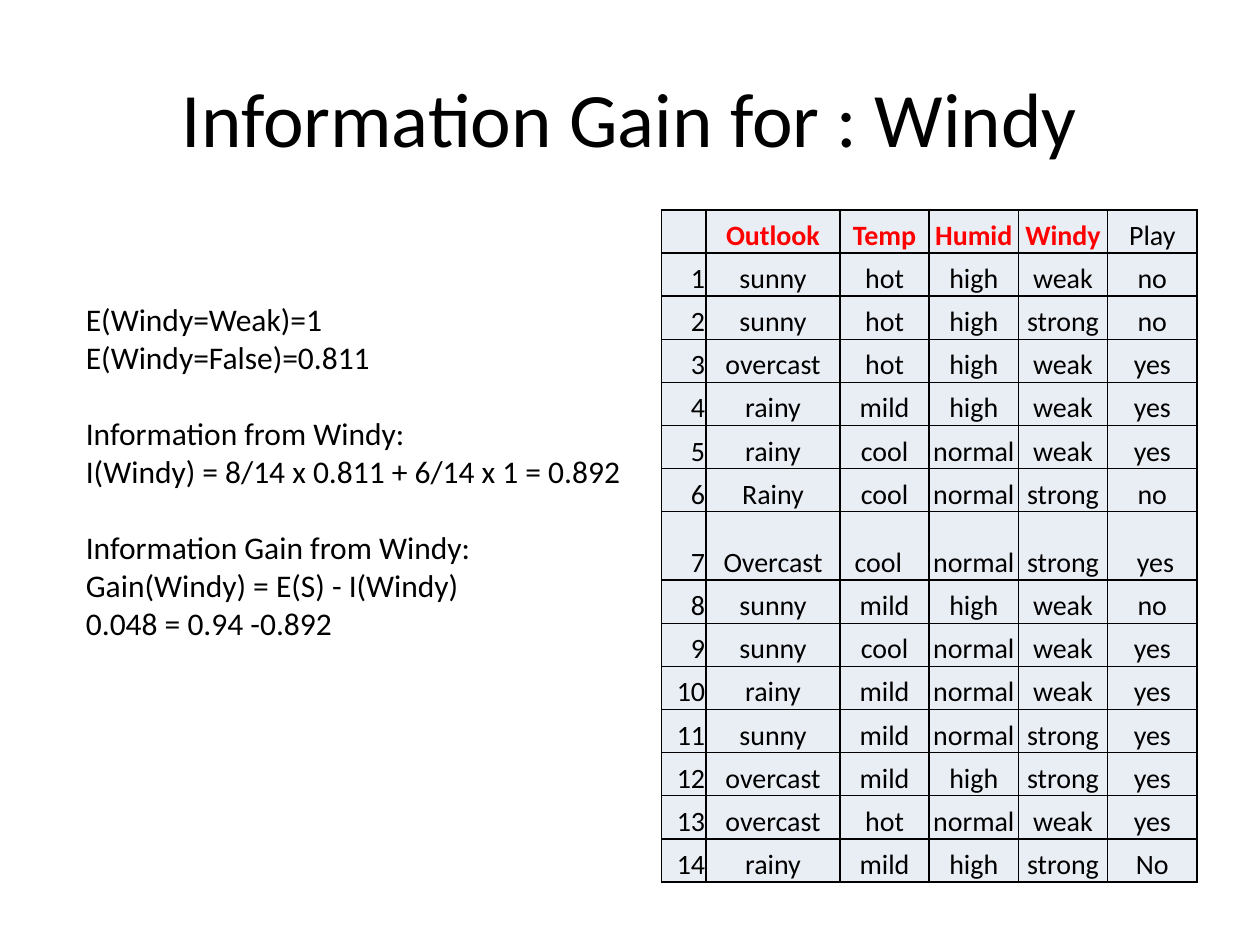
from typing import NamedTuple

from lxml.etree import SubElement
from pptx import Presentation
from pptx.dml.color import RGBColor
from pptx.enum.text import MSO_ANCHOR as Anchor, PP_ALIGN as Align
from pptx.oxml.ns import qn
from pptx.util import Pt

BLACK, RED, PALE = "000000", "FF0000", "E9EDF4"


class Box(NamedTuple):
    left: float
    top: float
    width: float
    height: float


class Line(NamedTuple):
    text: str
    before: float = 0


class Nudge(NamedTuple):
    left: float = 0
    right: float = 0


TITLE = [Line("Information Gain for : Windy")]
GAP = 22
STEPS = [
    Line("E(Windy=Weak)=1"),
    Line("E(Windy=False)=0.811"),
    Line("Information from Windy:", GAP),
    Line("I(Windy) = 8/14 x 0.811 + 6/14 x 1 = 0.892"),
    Line("Information Gain from Windy:", GAP),
    Line("Gain(Windy) = E(S) - I(Windy)"),
    Line("0.048 = 0.94 -0.892"),
]
HEAD = ["", "Outlook", "Temp", "Humid", "Windy", "Play"]
DAYS = """\
sunny hot high weak no
sunny hot high strong no
overcast hot high weak yes
rainy mild high weak yes
rainy cool normal weak yes
Rainy cool normal strong no
Overcast cool normal strong yes
sunny mild high weak no
sunny cool normal weak yes
rainy mild normal weak yes
sunny mild normal strong yes
overcast mild high strong yes
overcast hot normal weak yes
rainy mild high strong No"""
WIDTHS = [25.5, 76.5] + [51] * 4
ROW, TALL, TALL_DAY = 24.64, 39.1, 7
INSET = 0.6
NUDGES = {(TALL_DAY, 2): Nudge(right=7.2), (TALL_DAY, 5): Nudge(left=3.6)}


def color(code: str) -> RGBColor:
    return RGBColor.from_string(code)


def style(para, size: float, align, code: str = BLACK, bold: bool = False) -> None:
    para.alignment = align
    font = para.font
    font.name, font.size, font.bold = "Calibri", Pt(size), bold
    font.color.rgb = color(code)


def add_text(slide, box: Box, lines: list[Line], size: float, align, anchor) -> None:
    frame = slide.shapes.add_textbox(*map(Pt, box)).text_frame
    frame.word_wrap = True
    frame.vertical_anchor = anchor
    for i, line in enumerate(lines):
        para = frame.add_paragraph() if i else frame.paragraphs[0]
        para.text = line.text
        para.space_before = Pt(line.before)
        style(para, size, align)


def add_edges(cell) -> None:
    """Rule all four sides; call before the fill, which must follow in the XML."""
    props = cell._tc.get_or_add_tcPr()
    for side in ("lnL", "lnR", "lnT", "lnB"):
        edge = SubElement(props, qn(f"a:{side}"), w=str(Pt(1)))
        fill = SubElement(edge, qn("a:solidFill"))
        SubElement(fill, qn("a:srgbClr"), val=BLACK)


def fill_cell(cell, text: str, align, head: bool, nudge: Nudge) -> None:
    add_edges(cell)
    cell.fill.solid()
    cell.fill.fore_color.rgb = color(PALE)
    cell.vertical_anchor = Anchor.BOTTOM
    cell.margin_left = Pt(INSET + nudge.left)
    cell.margin_right = Pt(INSET + nudge.right)
    cell.margin_top, cell.margin_bottom = Pt(INSET), 0
    para = cell.text_frame.paragraphs[0]
    if text:
        para.text = text
    style(para, 16, align, RED if head else BLACK, head)


def add_days(slide, left: float, top: float) -> None:
    days = [[str(n), *day.split()] for n, day in enumerate(DAYS.splitlines(), 1)]
    rows = [HEAD] + days
    heights = [TALL if r == TALL_DAY else ROW for r in range(len(rows))]
    box = Box(left, top, sum(WIDTHS), sum(heights))
    table = slide.shapes.add_table(len(rows), len(HEAD), *map(Pt, box)).table
    table.first_row = table.horz_banding = False
    for col, width in zip(table.columns, WIDTHS):
        col.width = Pt(width)
    for r, (row, height) in enumerate(zip(rows, heights)):
        table.rows[r].height = Pt(height)
        for c, text in enumerate(row):
            align = Align.CENTER if c else Align.RIGHT
            head = r == 0 and text != "Play"
            nudge = NUDGES.get((r, c), Nudge())
            fill_cell(table.cell(r, c), text, align, head, nudge)


def main() -> None:
    deck = Presentation()
    deck.slide_width, deck.slide_height = Pt(720), Pt(540)
    slide = deck.slides.add_slide(deck.slide_layouts[6])
    add_text(slide, Box(36, 21.6, 648, 90), TITLE, 44, Align.CENTER, Anchor.MIDDLE)
    add_text(slide, Box(42, 168, 360, 225), STEPS, 18, Align.LEFT, Anchor.TOP)
    add_days(slide, 378, 120)
    deck.save("out.pptx")


if __name__ == "__main__":
    main()
